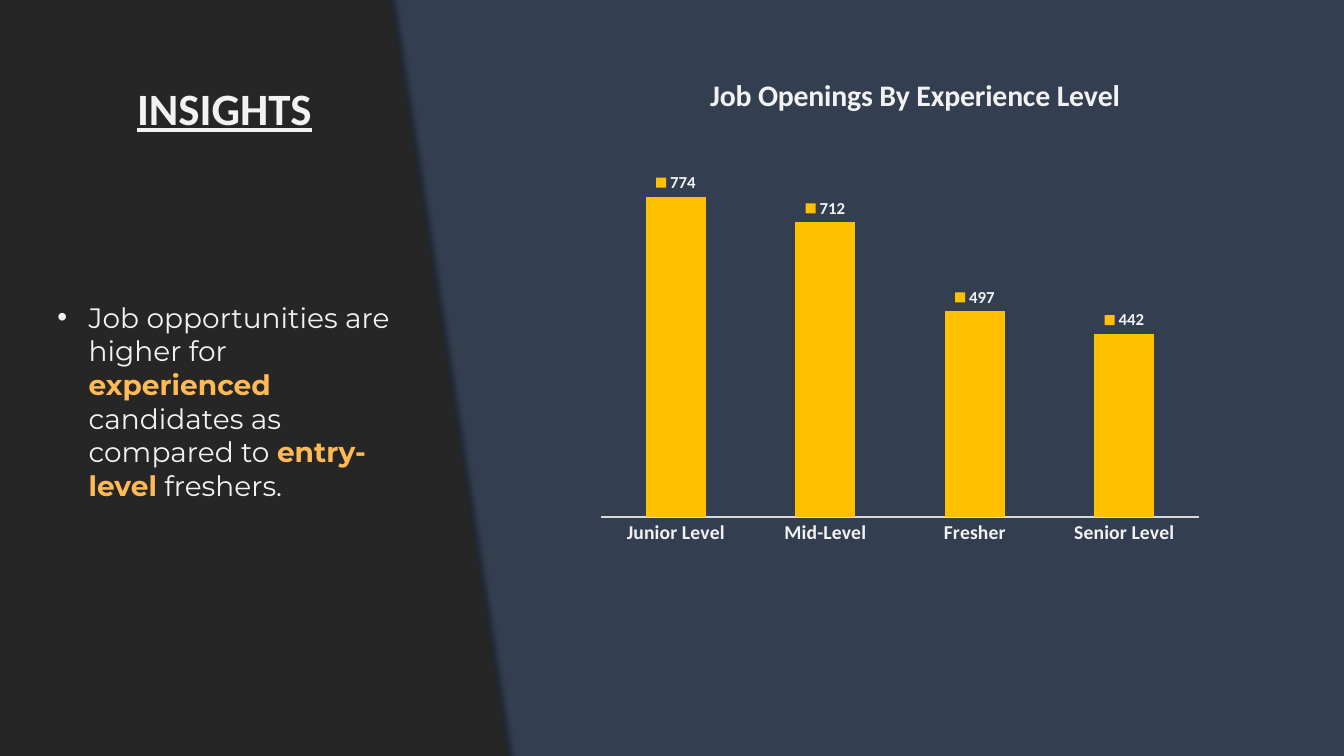
from pptx import Presentation
from pptx.chart.data import CategoryChartData
from pptx.dml.color import RGBColor
from pptx.enum.chart import XL_CHART_TYPE, XL_LABEL_POSITION, XL_TICK_MARK
from pptx.enum.shapes import MSO_SHAPE
from pptx.enum.text import MSO_ANCHOR, MSO_AUTO_SIZE, PP_ALIGN
from pptx.oxml import parse_xml
from pptx.oxml.ns import nsdecls, qn
from pptx.util import Cm, Pt

COLUMN = XL_CHART_TYPE.COLUMN_CLUSTERED
OUTSIDE_END = XL_LABEL_POSITION.OUTSIDE_END
NO_TICK = XL_TICK_MARK.NONE
RECTANGLE = MSO_SHAPE.RECTANGLE
TOP, BOTTOM = MSO_ANCHOR.TOP, MSO_ANCHOR.BOTTOM
NO_FIT, GROW = MSO_AUTO_SIZE.NONE, MSO_AUTO_SIZE.SHAPE_TO_FIT_TEXT
CENTER, LEFT = PP_ALIGN.CENTER, PP_ALIGN.LEFT

# Content
HEADING = "INSIGHTS"
INSIGHT = [  # text, highlighted
    ("Job opportunities are higher for ", False),
    ("experienced", True),
    (" candidates as compared to ", False),
    ("entry-level", True),
    (" freshers.", False),
]
CHART_TITLE = "Job Openings By Experience Level"
OPENINGS = {"Junior Level": 774, "Mid-Level": 712, "Fresher": 497, "Senior Level": 442}

# Style
NAVY, CHARCOAL, PALE = "333F50", "262626", "F2F2F2"
ORANGE, GOLD, AXIS_GREY, SLATE = "FFBA55", "FFC000", "D9D9D9", "44546A"
HEAD_FONT, BODY_FONT = "Calibri", "Montserrat"

# Left, top, width, height in centimetres
PANEL_BOX = (-2.03, -0.61, 13.31, 21.08)
HEADING_BOX = (3.05, 1.78, 5.21, 1.75)
INSIGHT_BOX = (1.19, 7.44, 8.92, 3.68)
CHART_BOX = (13.31, 1.19, 19.35, 13.77)


def rgb(color):
    return RGBColor.from_string(color)


def lengths(box):
    return [Cm(value) for value in box]


def style_font(font, size, color=PALE, bold=True, name=HEAD_FONT):
    font.size, font.bold, font.name = Pt(size), bold, name
    font.color.rgb = rgb(color)


def place(shape, box, anchor, fit):
    shape.left, shape.top, shape.width, shape.height = lengths(box)
    frame = shape.text_frame
    frame.word_wrap, frame.vertical_anchor, frame.auto_size = True, anchor, fit
    return frame.paragraphs[0]


def set_layout(parent, **values):
    """Fix the position of a chart part, as fractions of the chart."""
    layout = parent.find(qn("c:layout"))
    if layout is not None:
        parent.remove(layout)
    target = '<c:layoutTarget val="inner"/>' if "w" in values else ""
    modes = "".join(f'<c:{key}Mode val="edge"/>' for key in "xy")
    sizes = "".join(f'<c:{key} val="{value}"/>' for key, value in values.items())
    layout = parse_xml(
        f'<c:layout {nsdecls("c")}><c:manualLayout>{target}{modes}{sizes}'
        "</c:manualLayout></c:layout>"
    )
    text = parent.find(qn("c:tx"))
    parent.insert(0 if text is None else 1, layout)


def add_panel(slide):
    panel = slide.shapes.add_shape(RECTANGLE, *lengths(PANEL_BOX))
    panel.rotation = 351.2
    panel.fill.solid()
    panel.fill.fore_color.rgb = panel.line.color.rgb = rgb(CHARCOAL)
    panel.line.width = Pt(1)
    properties = panel.element.spPr
    properties.append(parse_xml(
        f'<a:effectLst {nsdecls("a")}><a:outerShdw blurRad="{Pt(4)}" dist="{Pt(3)}" '
        'dir="0" algn="l" rotWithShape="0"><a:srgbClr val="000000">'
        '<a:alpha val="40000"/></a:srgbClr></a:outerShdw></a:effectLst>'
    ))
    # Behind the placeholders
    slide.shapes.element.insert(2, panel.element)


def add_text(slide):
    # Heading
    paragraph = place(slide.shapes.title, HEADING_BOX, BOTTOM, NO_FIT)
    paragraph.alignment, paragraph.line_spacing = CENTER, 0.9
    run = paragraph.add_run()
    run.text = HEADING
    style_font(run.font, 32)
    run.font.underline = True

    # Bulleted insight
    paragraph = place(slide.placeholders[1], INSIGHT_BOX, TOP, GROW)
    paragraph.alignment, paragraph.line_spacing = LEFT, 1.0
    paragraph.space_before = Pt(0)
    properties = paragraph._p.get_or_add_pPr()
    properties.set("marL", str(Cm(0.79)))
    properties.set("indent", str(-Cm(0.79)))
    for bullet in ('buFont typeface="Arial"', 'buChar char="•"'):
        properties.append(parse_xml(f'<a:{bullet} {nsdecls("a")}/>'))
    for text, highlighted in INSIGHT:
        run = paragraph.add_run()
        run.text = text
        style_font(run.font, 20, ORANGE if highlighted else PALE, highlighted, BODY_FONT)


def add_openings_chart(slide):
    data = CategoryChartData()
    data.categories = list(OPENINGS)
    data.add_series("Series 1", list(OPENINGS.values()))
    chart = slide.shapes.add_chart(COLUMN, *lengths(CHART_BOX), data).chart
    style_font(chart.font, 12, SLATE, False)
    chart.has_legend = False

    # Title
    chart.has_title = True
    run = chart.chart_title.text_frame.paragraphs[0].add_run()
    run.text = CHART_TITLE
    style_font(run.font, 21.3)
    set_layout(chart.chart_title.element, x=0.23, y=0.04)
    plot_area = chart.element.find(".//" + qn("c:plotArea"))
    set_layout(plot_area, x=0.095, y=0.178, w=0.779, h=0.682)

    # Axes
    categories, values = chart.category_axis, chart.value_axis
    categories.major_tick_mark = categories.minor_tick_mark = NO_TICK
    categories.format.line.color.rgb = rgb(AXIS_GREY)
    categories.format.line.width = Pt(1)
    style_font(categories.tick_labels.font, 14)
    values.minimum_scale, values.maximum_scale = 0, 900
    values.has_major_gridlines = values.visible = False

    # Columns and labels
    plot = chart.plots[0]
    plot.gap_width, plot.vary_by_categories = 150, False
    series = plot.series[0]
    series.format.fill.solid()
    series.format.fill.fore_color.rgb = rgb(GOLD)
    labels = series.data_labels
    labels.show_value = labels.show_legend_key = True
    labels.position = OUTSIDE_END
    style_font(labels.font, 12)


def main():
    presentation = Presentation()
    presentation.slide_width, presentation.slide_height = Cm(33.87), Cm(19.05)
    slide = presentation.slides.add_slide(presentation.slide_layouts[1])
    slide.background.fill.solid()
    slide.background.fill.fore_color.rgb = rgb(NAVY)
    add_panel(slide)
    add_text(slide)
    add_openings_chart(slide)
    presentation.save("out.pptx")


if __name__ == "__main__":
    main()
